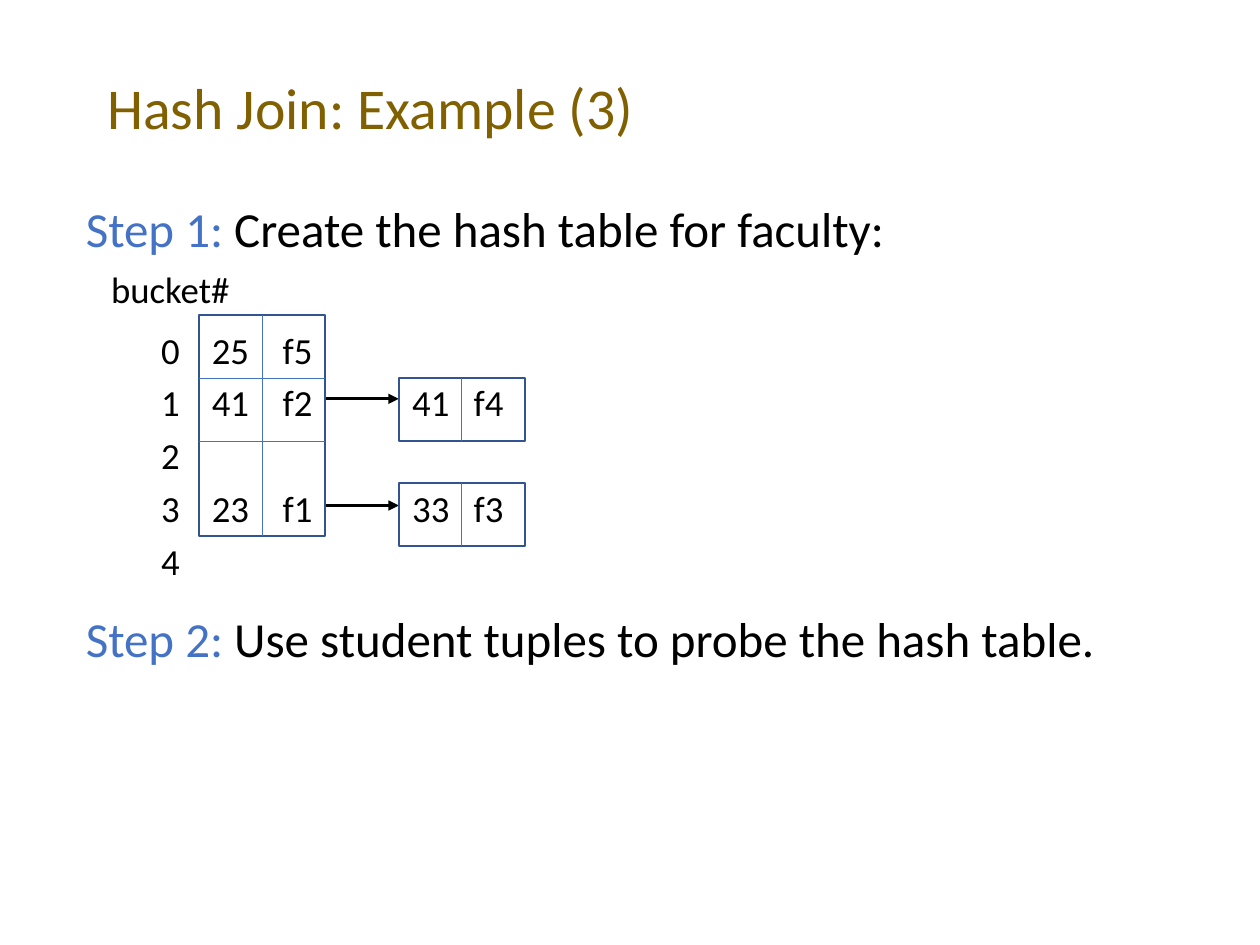
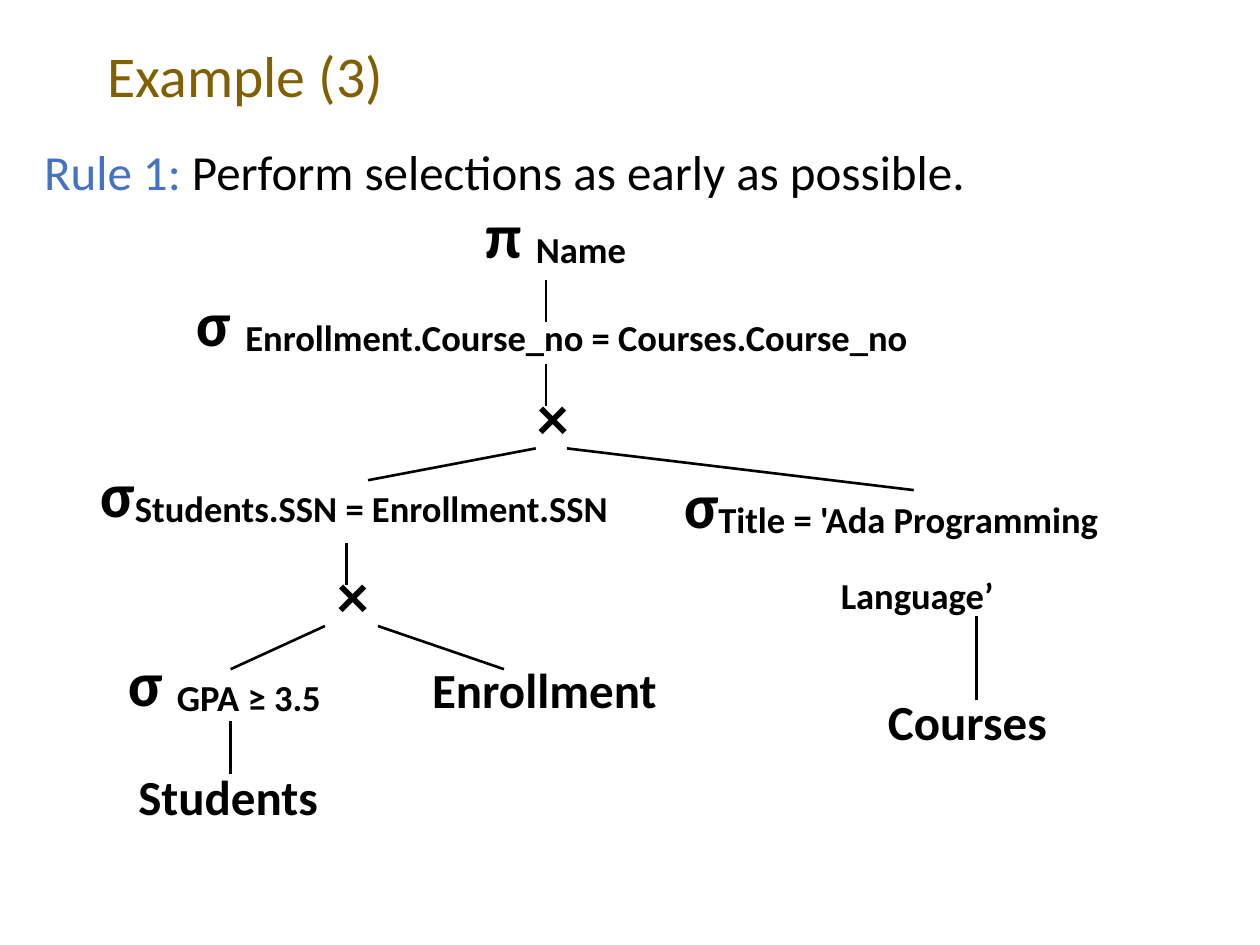
from lxml import etree
from pptx import Presentation
from pptx.dml.color import RGBColor
from pptx.enum.shapes import MSO_CONNECTOR, MSO_SHAPE
from pptx.enum.text import MSO_ANCHOR, MSO_AUTO_SIZE, PP_ALIGN
from pptx.oxml.ns import qn
from pptx.util import Cm, Pt

STRAIGHT = MSO_CONNECTOR.STRAIGHT
RECTANGLE = MSO_SHAPE.RECTANGLE
MIDDLE = MSO_ANCHOR.MIDDLE
NO_FIT = MSO_AUTO_SIZE.NONE
LEFT = PP_ALIGN.LEFT
CENTER = PP_ALIGN.CENTER
TITLE_ONLY = 5
TOP_SIDE, BOTTOM_SIDE = 0, 2

FONT = "Calibri"
BLACK = "000000"
GOLD = "806000"
BLUE = "4472C4"
NAVY = "325491"


def color(hex_string):
    return RGBColor.from_string(hex_string)


class Deck:
    """Builds slides in one shared style, one kind of element per method."""

    def __init__(self):
        self.deck = Presentation()
        self.deck.slide_width = Cm(25.4)
        self.deck.slide_height = Cm(19.05)
        self.page = None

    def add_page(self, title, top):
        layout = self.deck.slide_layouts[TITLE_ONLY]
        self.page = self.deck.slides.add_slide(layout)
        box = self.page.shapes.title
        box.left, box.top = Cm(1.91), Cm(top)
        box.width, box.height = Cm(21.59), Cm(1.91)
        box.text_frame.vertical_anchor = MIDDLE
        box.text_frame.auto_size = NO_FIT
        para = box.text_frame.paragraphs[0]
        para.alignment = LEFT
        para.line_spacing = 0.9
        self.add_span(para, title, 33, GOLD)

    def add_span(self, para, text, size, ink=BLACK, bold=False, baseline=None):
        span = para.add_run()
        span.text = text
        span.font.name = FONT
        span.font.size = Pt(size)
        span.font.bold = bold
        span.font.color.rgb = color(ink)
        if baseline:
            span._r.get_or_add_rPr().set("baseline", str(baseline))

    def add_box(self, left, top, width, height):
        box = self.page.shapes.add_textbox(Cm(left), Cm(top), Cm(width), Cm(height))
        box.text_frame.word_wrap = True
        return box.text_frame

    def add_step(self, para, label, text, spacing=0.9):
        para.line_spacing = spacing
        para.space_before = Pt(7.5)
        self.add_span(para, label, 28, BLUE)
        self.add_span(para, " " + text, 28)

    def add_row(self, frame, cells, tabs, before=7.5):
        para = frame.add_paragraph()
        para.line_spacing = 0.9
        para.space_before = Pt(before)
        self.add_span(para, "".join("\t" + cell for cell in cells), 21)
        stops = etree.SubElement(para._p.get_or_add_pPr(), qn("a:tabLst"))
        for tab in tabs:
            etree.SubElement(stops, qn("a:tab"), pos=str(Cm(tab)), algn="l")

    def add_line(self, x1, y1, x2, y2, ink=BLACK, width=1.5, arrow=False):
        line = self.page.shapes.add_connector(STRAIGHT, Cm(x1), Cm(y1), Cm(x2), Cm(y2))
        line.line.color.rgb = color(ink)
        line.line.width = Pt(width)
        if arrow:
            etree.SubElement(line.get_or_add_ln(), qn("a:tailEnd"), type="triangle")
        etree.SubElement(line._element.spPr, qn("a:effectLst"))
        return line

    def add_split_box(self, left, top, width, height):
        box = self.page.shapes.add_shape(RECTANGLE, Cm(left), Cm(top), Cm(width), Cm(height))
        box.shadow.inherit = False
        box.fill.background()
        box.line.color.rgb = color(NAVY)
        box.line.width = Pt(1)
        middle = left + width / 2
        divider = self.add_line(middle, top, middle, top + height, BLUE, 0.5)
        divider.begin_connect(box, TOP_SIDE)
        divider.end_connect(box, BOTTOM_SIDE)

    def add_operator(self, left, top, width, symbol, condition="", align=LEFT):
        frame = self.add_box(left, top, width, 1.78)
        para = frame.paragraphs[0]
        para.alignment = align
        self.add_span(para, symbol, 36, bold=True)
        if condition:
            self.add_span(para, condition, 36, bold=True, baseline=-8000)
        return frame

    def add_relation(self, left, top, width, name):
        frame = self.add_box(left, top, width, 1.45)
        self.add_span(frame.paragraphs[0], name, 28, bold=True)


def build_hash_join(deck):
    deck.add_page("Hash Join: Example (3)", 1.27)
    frame = deck.add_box(1.48, 4.02, 23.06, 13.97)
    deck.add_step(frame.paragraphs[0], "Step 1:", "Create the hash table for faculty:")
    deck.add_row(frame, ["bucket#"], [0.51])
    buckets = [
        ["0", "25", "f5"],
        ["1", "41", "f2", "41", "f4"],
        ["2"],
        ["3", "23", "f1", "33", "f3"],
        ["4"],
    ]
    for number, cells in enumerate(buckets):
        before = 7.5 if number else 12
        deck.add_row(frame, cells, [1.52, 2.54, 3.97, 6.58, 7.82], before)
    deck.add_step(frame.add_paragraph(), "Step 2:",
                  "Use student tuples to probe the hash table.", 1.2)

    table_left, table_top, cell = 4.02, 6.35, 1.27
    table_right = table_left + 2 * cell
    chain_left = 8.04
    for y in (8.04, 10.19):
        deck.add_line(table_right, y, chain_left, y, arrow=True)
    deck.add_split_box(table_left, table_top, 2 * cell, 4.45)
    for row in (1, 2):
        y = table_top + row * cell
        deck.add_line(table_left, y, table_right, y, BLUE, 0.5)
    for top in (7.62, 9.74):
        deck.add_split_box(chain_left, top, 2 * cell, cell)


def build_query_tree(deck):
    deck.add_page("Example (3)", 0.64)
    frame = deck.add_box(0.64, 2.96, 24.13, 14.82)
    deck.add_step(frame.paragraphs[0], "Rule 1:",
                  "Perform selections as early as possible.", 0.8)

    deck.add_operator(9.53, 3.81, 3.63, "π ", "Name")
    deck.add_operator(2.08, 5.59, 18.11, "σ ",
                      "Enrollment.Course_no = Courses.Course_no", CENTER)
    deck.add_operator(10.59, 7.49, 1.22, "×")
    deck.add_operator(0.53, 9.04, 13.23, "σ", "Students.SSN = Enrollment.SSN", CENTER)
    deck.add_operator(6.55, 11.07, 1.22, "×")
    deck.add_operator(2.34, 12.85, 5.33, "σ ", "GPA ≥ 3.5")
    title_filter = deck.add_operator(13.54, 9.25, 11.13, "σ", "Title = 'Ada Programming")
    para = title_filter.add_paragraph()
    para.line_spacing = Pt(43.5)
    para._p.get_or_add_pPr().set("marL", str(Cm(3.16)))
    deck.add_span(para, "Language’", 36, bold=True, baseline=-8000)

    deck.add_relation(17.65, 13.82, 3.94, "Courses")
    deck.add_relation(8.46, 13.18, 5.36, "Enrollment")
    deck.add_relation(2.54, 15.32, 4.22, "Students")

    branches = [
        (11.01, 5.64, 11.01, 6.5),
        (11.01, 7.34, 11.01, 8.18),
        (10.8, 9.04, 7.42, 9.68),
        (11.43, 9.04, 18.42, 9.88),
        (6.99, 10.95, 6.99, 11.79),
        (6.55, 12.62, 4.65, 13.49),
        (7.62, 12.62, 10.16, 13.49),
        (4.65, 14.53, 4.65, 15.6),
        (19.69, 12.42, 19.69, 14.12),
    ]
    for branch in branches:
        deck.add_line(*branch)


def main():
    deck = Deck()
    build_hash_join(deck)
    build_query_tree(deck)
    deck.deck.save("out.pptx")


if __name__ == "__main__":
    main()
